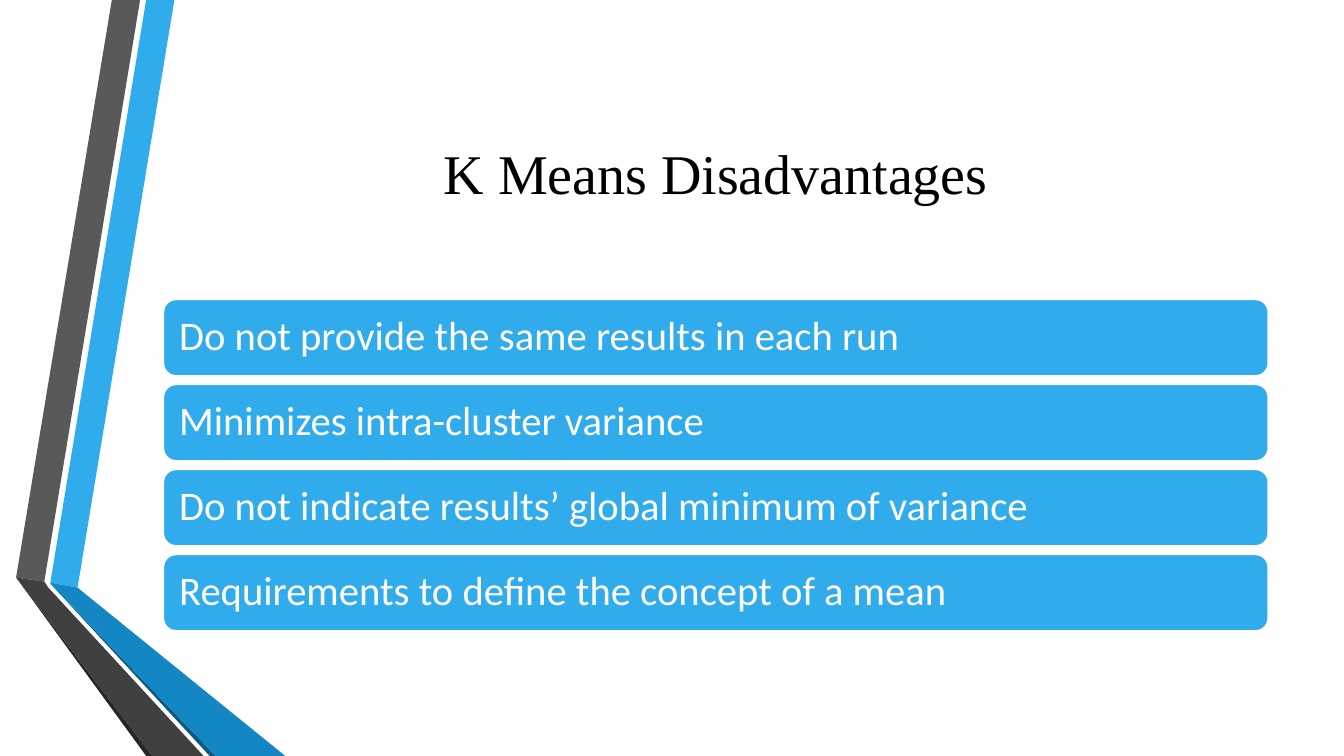
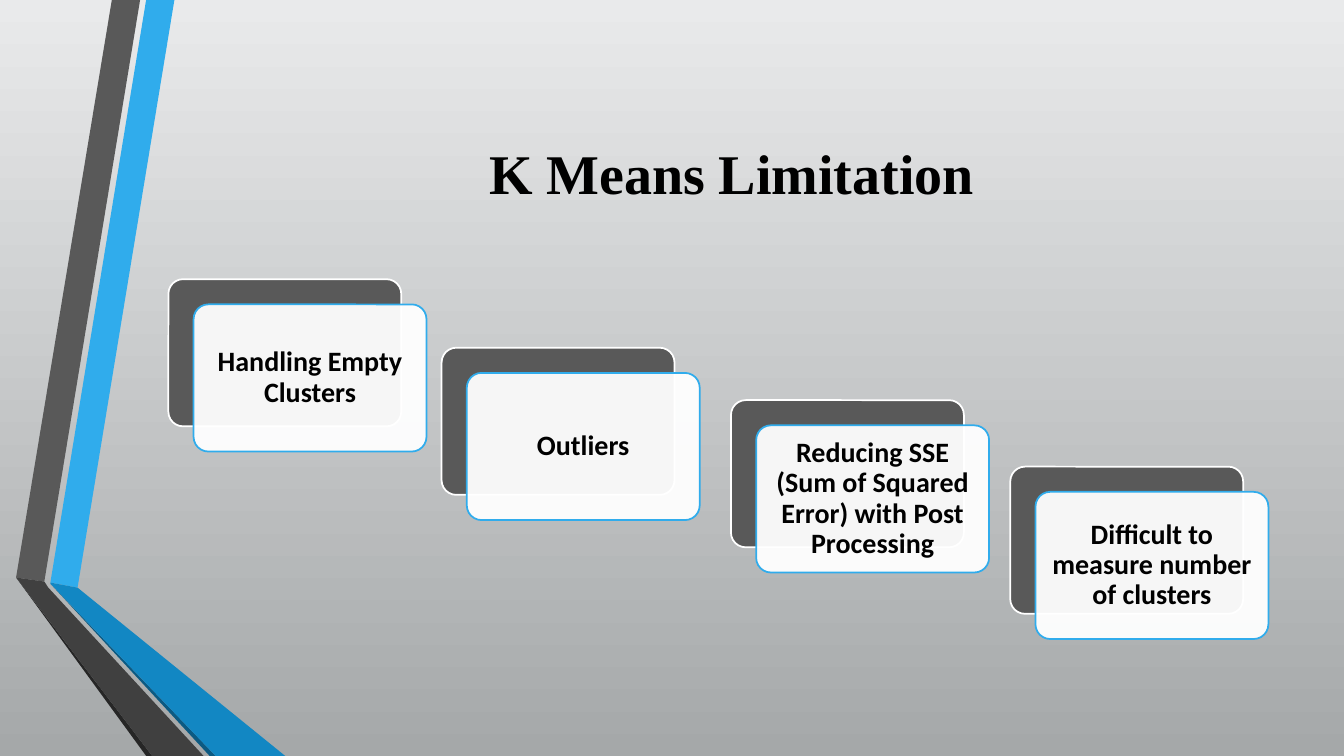
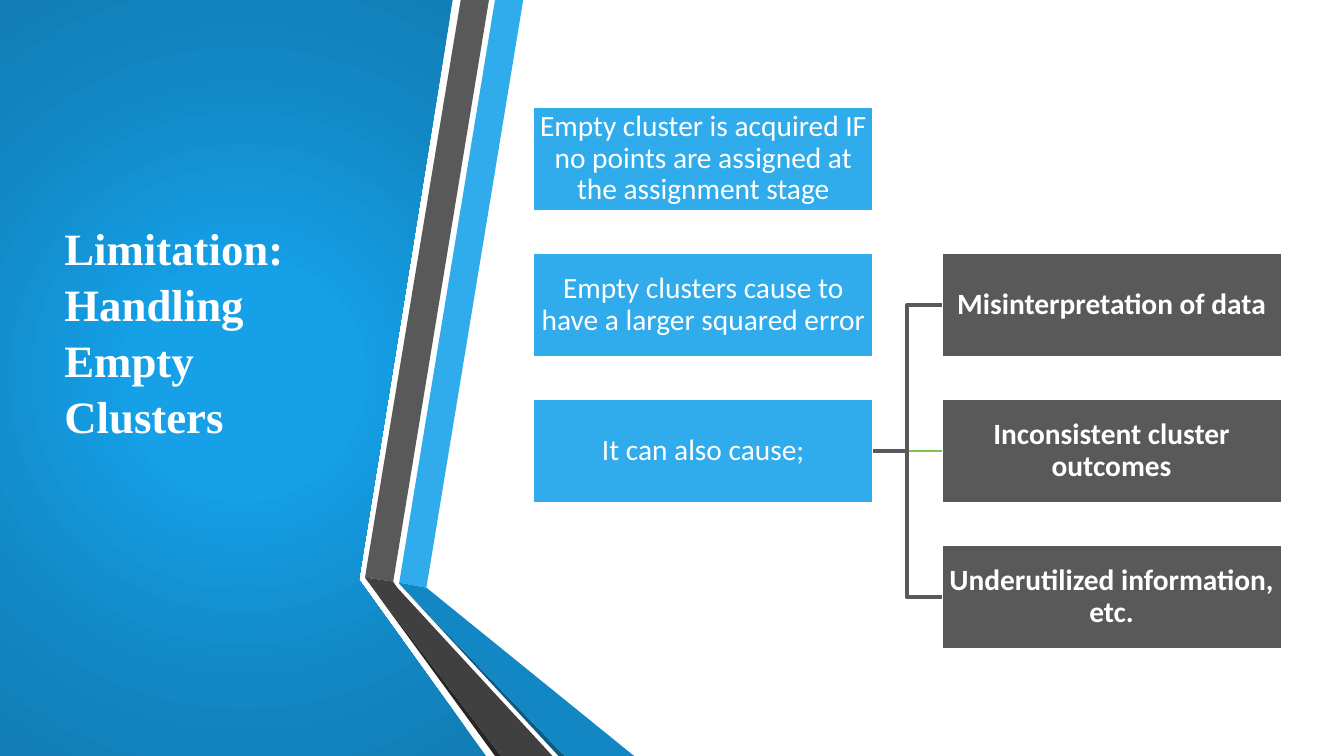
from lxml import etree
from pptx import Presentation
from pptx.dml.color import RGBColor
from pptx.enum import shapes, text
from pptx.oxml.ns import qn
from pptx.util import Inches, Pt

# Shared look
COLORS = {
    "blue": "30ACEC", "deep_blue": "1287C3", "navy": "0C5A82",
    "gray": "595959", "dark_gray": "404040", "charcoal": "262626",
    "white": "FFFFFF", "black": "000000", "green": "80C34F",
    "bg_top": "E9EAEB", "bg_bottom": "A5A8A9",
}
TITLE_FONT, BODY_FONT = "Times New Roman", "Calibri"
SLIDE_W, SLIDE_H = 13.33, 7.5

# Folded ribbon: colour and outline of each facet
RIBBON = [
    ("blue", [(0.5, 5.78), (0.77, 5.83), (1.73, 0), (1.45, 0)]),
    ("gray", [(1.39, 0), (1.11, 0), (0.16, 5.73), (0.44, 5.77)]),
    ("charcoal", [(0.16, 5.73), (1.45, 7.5), (1.51, 7.5)]),
    ("navy", [(0.5, 5.79), (2.08, 7.5), (2.14, 7.5)]),
    ("deep_blue", [(0.5, 5.78), (0.5, 5.79), (2.14, 7.5), (2.83, 7.5), (0.77, 5.83)]),
    ("dark_gray", [(2.02, 7.5), (0.48, 5.83), (0.44, 5.77), (0.16, 5.73), (1.51, 7.5)]),
]

# Slide 1
DISADVANTAGES = [
    "Do not provide the same results in each run",
    "Minimizes intra-cluster variance",
    "Do not indicate results’ global minimum of variance",
    "Requirements to define the concept of a mean",
]

# Slide 2: left and top of the back card, text of the front card
LIMITATIONS = [
    (1.67, 2.77, "Handling Empty Clusters"),
    (4.38, 3.45, "Outliers"),
    (7.25, 3.97, "Reducing SSE (Sum of Squared Error) with Post Processing"),
    (10.02, 4.63, "Difficult to measure number of clusters"),
]

# Slide 3
PANEL = [(0, 0), (4.49, 0), (3.56, 5.75), (4.82, 7.5), (0, 7.5)]
PANEL_STOPS = [(0, "15A0E8"), (23, "15A0E8"), (69, "1287C3"), (97, "117EB6")]
STATEMENTS = [
    "Empty cluster is acquired IF no points are assigned at the assignment stage",
    "Empty clusters cause to have a larger squared error",
    "It can also cause;",
]
EFFECTS = [
    "Misinterpretation of data",
    "Inconsistent cluster outcomes",
    "Underutilized information, etc.",
]


def rgb(name):
    return RGBColor.from_string(COLORS[name])


def write(sp, content, font, size, color, bold=False, align="CENTER", inset=0.1, spacing=None):
    tf = sp.text_frame
    tf.word_wrap = True
    tf.vertical_anchor = text.MSO_ANCHOR.MIDDLE
    tf.margin_left = tf.margin_right = tf.margin_top = tf.margin_bottom = Inches(inset)
    p = tf.paragraphs[0]
    p.text = content
    p.alignment = text.PP_ALIGN[align]
    p.line_spacing = spacing
    p.font.name, p.font.size, p.font.bold = font, Pt(size), bold
    p.font.color.rgb = rgb(color)


def add_title(slide, content, box, size=40, color="black", **style):
    sp = slide.shapes.add_textbox(*map(Inches, box))
    write(sp, content, TITLE_FONT, size, color, **style)


def add_box(slide, kind, box, fill, line="white"):
    sp = slide.shapes.add_shape(shapes.MSO_SHAPE[kind], *map(Inches, box))
    sp.shadow.inherit = False
    sp.fill.solid()
    sp.fill.fore_color.rgb = rgb(fill)
    sp.line.color.rgb = rgb(line)
    sp.line.width = Pt(1.25)
    return sp


def add_polygon(slide, points, fill, dx=0):
    start, *rest = [(Inches(x + dx), Inches(y)) for x, y in points]
    builder = slide.shapes.build_freeform(*start)
    builder.add_line_segments(rest, close=True)
    sp = builder.convert_to_shape()
    sp.shadow.inherit = False
    sp.fill.solid()
    sp.fill.fore_color.rgb = rgb(fill)
    sp.line.fill.background()
    return sp


def add_ribbon(slide, dx=0):
    for fill, points in RIBBON:
        add_polygon(slide, points, fill, dx)


def set_radial(sp, stops):
    sp.fill.gradient()
    grad = sp._element.spPr.find(qn("a:gradFill"))
    for child in list(grad):
        grad.remove(child)
    gs_list = etree.SubElement(grad, qn("a:gsLst"))
    for pos, color in stops:
        gs = etree.SubElement(gs_list, qn("a:gs"), pos=str(pos * 1000))
        etree.SubElement(gs, qn("a:srgbClr"), val=color)
    circle = etree.SubElement(grad, qn("a:path"), path="circle")
    etree.SubElement(circle, qn("a:fillToRect"), l="50000", t="50000", r="50000", b="50000")


def set_opacity(sp, percent):
    color = sp._element.spPr.find(qn("a:solidFill")).find(qn("a:srgbClr"))
    etree.SubElement(color, qn("a:alpha"), val=str(percent * 1000))


def link(slide, source, target, kind, color, width):
    cx = slide.shapes.add_connector(shapes.MSO_CONNECTOR[kind], 0, 0, 0, 0)
    cx.begin_connect(source, 3)
    cx.end_connect(target, 1)
    cx.line.color.rgb = rgb(color)
    cx.line.width = Pt(width)
    etree.SubElement(cx._element.spPr, qn("a:effectLst"))


def build_disadvantages(slide):
    add_ribbon(slide)
    add_title(slide, "K Means Disadvantages", (1.62, 0.75, 10.96, 1.92))
    first, last = 2.97, 5.5
    pitch = (last - first) / (len(DISADVANTAGES) - 1)
    for i, content in enumerate(DISADVANTAGES):
        bar = add_box(slide, "ROUNDED_RECTANGLE", (1.62, first + i * pitch, 10.96, 0.76), "blue")
        write(bar, content, BODY_FONT, 29, "white", align="LEFT", inset=0.12, spacing=0.9)


def build_limitations(slide):
    fill = slide.background.fill
    fill.gradient()
    fill.gradient_angle = 270
    for stop, name in zip(fill.gradient_stops, ("bg_top", "bg_bottom")):
        stop.color.rgb = rgb(name)
    add_ribbon(slide)
    add_title(slide, "K Means Limitation", (1.93, 0.75, 10.65, 1.92), bold=True)
    card_w, card_h, shift = 2.31, 1.46, 0.25
    for x, y, content in LIMITATIONS:
        back = add_box(slide, "ROUNDED_RECTANGLE", (x, y, card_w, card_h), "gray")
        front = add_box(slide, "ROUNDED_RECTANGLE", (x + shift, y + shift, card_w, card_h),
                        "white", "blue")
        back.adjustments[0] = front.adjustments[0] = 0.1
        set_opacity(front, 95)
        write(front, content, BODY_FONT, 20, "black", bold=True, inset=0.08, spacing=0.9)


def build_empty_clusters(slide):
    set_radial(add_polygon(slide, PANEL, "deep_blue"), PANEL_STOPS)
    add_title(slide, "Limitation: Handling Empty Clusters", (0.54, 0.75, 3, 5.05), 32, "white",
              bold=True, align="LEFT", spacing=1.04)
    add_ribbon(slide, dx=3.46)

    # Two columns of boxes, the second one row lower
    top, pitch = 1.06, 1.45

    def column(items, x, first_row, fill, bold):
        boxes = []
        for row, content in enumerate(items, first_row):
            sp = add_box(slide, "RECTANGLE", (x, top + row * pitch, 3.37, 1.03), fill)
            write(sp, content, BODY_FONT, 21, "white", bold=bold, inset=0.01, spacing=0.9)
            boxes.append(sp)
        return boxes

    cause = column(STATEMENTS, 5.29, 0, "blue", False)[-1]
    upper, middle, lower = column(EFFECTS, 9.34, 1, "gray", True)
    link(slide, cause, lower, "ELBOW", "gray", 3)
    link(slide, cause, middle, "STRAIGHT", "green", 1.25)
    link(slide, cause, upper, "ELBOW", "gray", 3)


def main():
    prs = Presentation()
    prs.slide_width, prs.slide_height = Inches(SLIDE_W), Inches(SLIDE_H)
    for build in (build_disadvantages, build_limitations, build_empty_clusters):
        build(prs.slides.add_slide(prs.slide_layouts[6]))
    prs.save("out.pptx")


if __name__ == "__main__":
    main()
